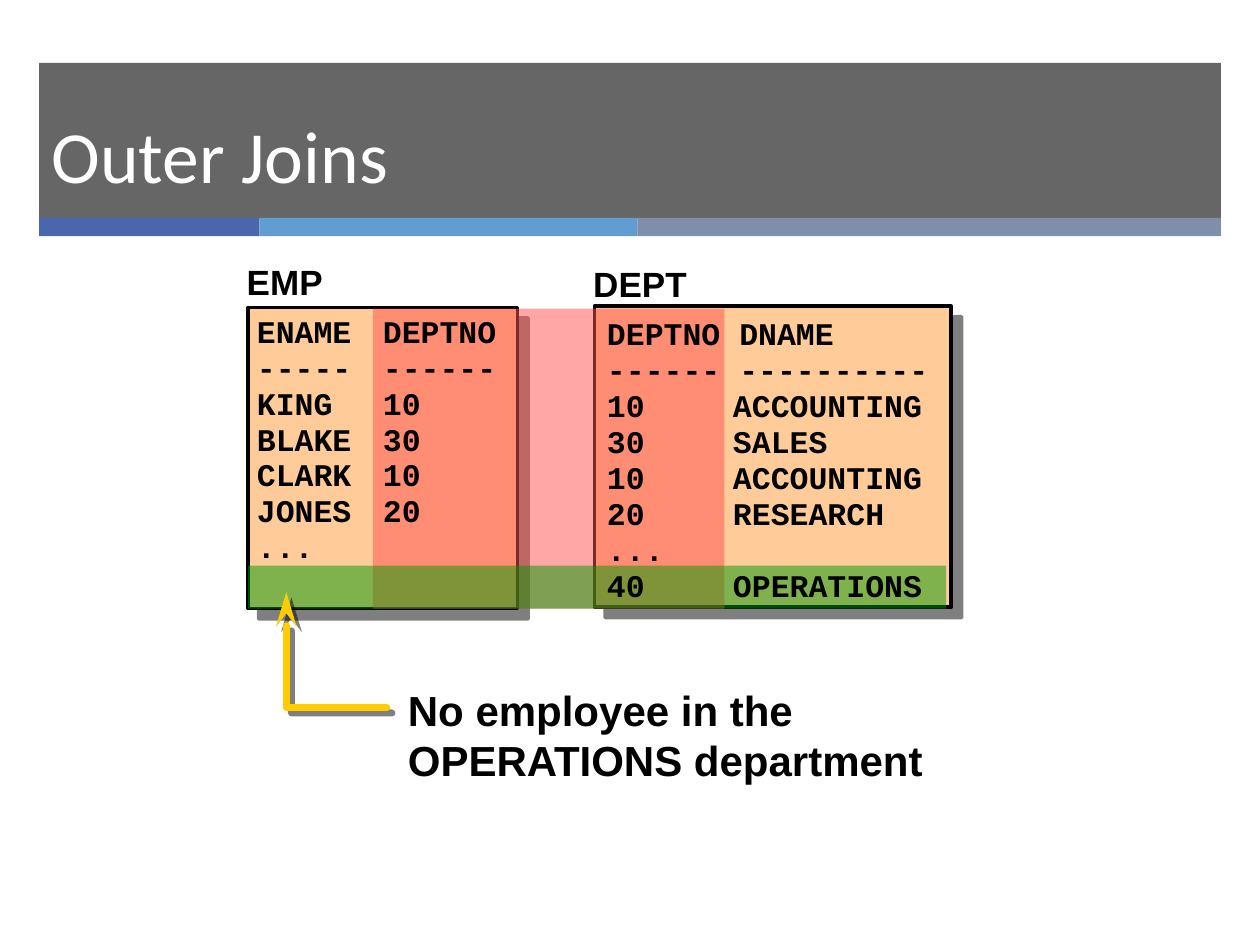
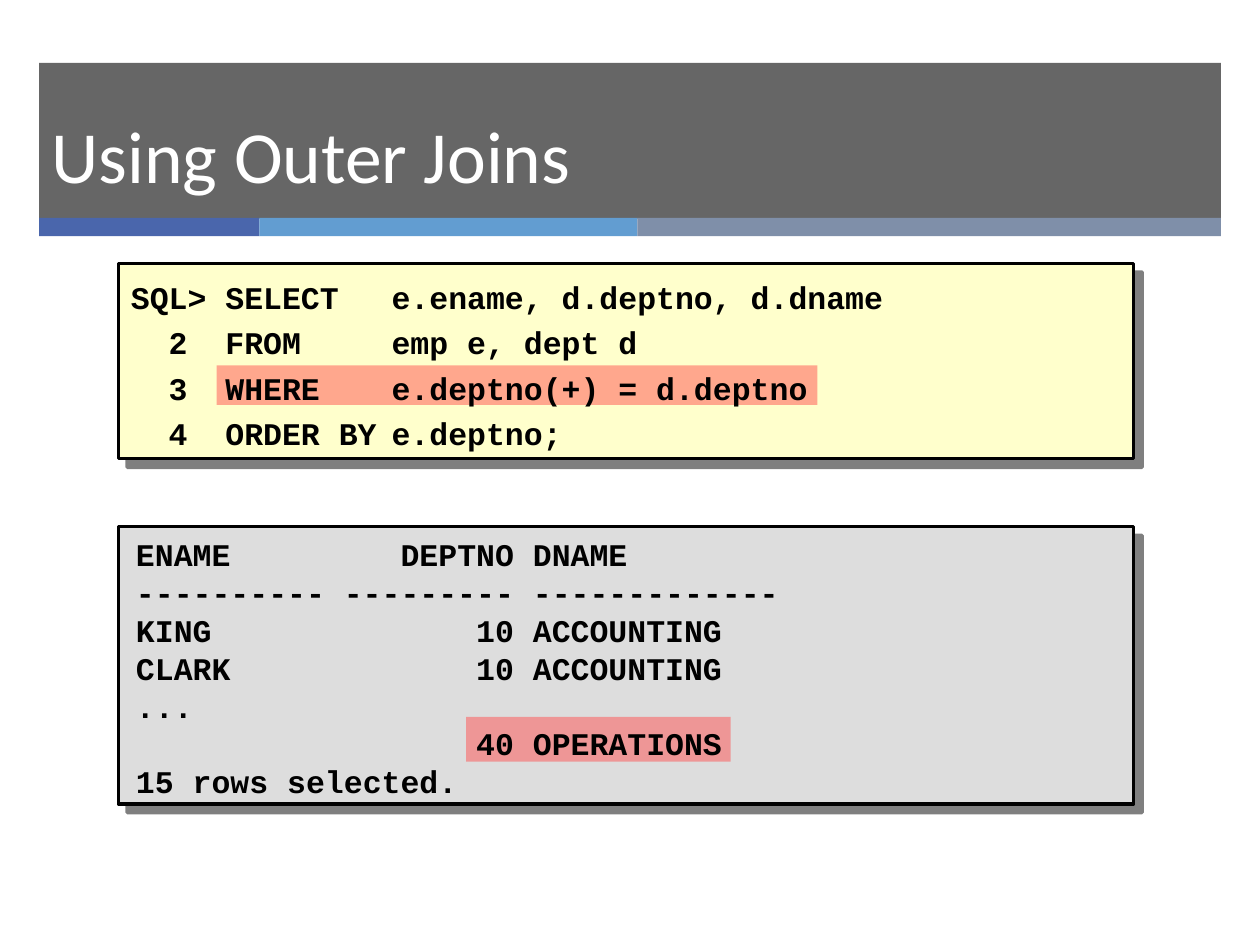
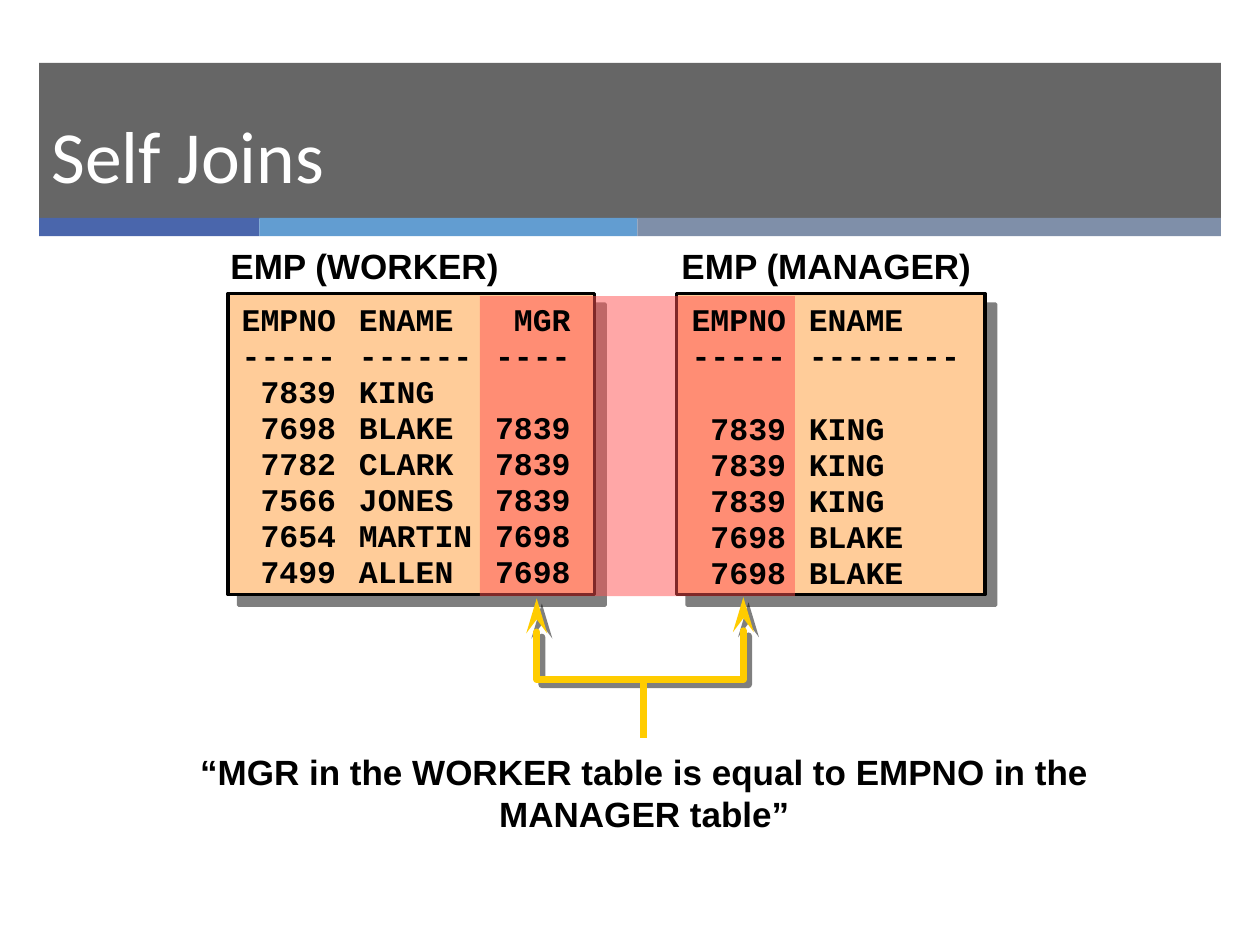
from lxml import etree
from pptx import Presentation
from pptx.dml.color import RGBColor
from pptx.enum import shapes, text
from pptx.oxml import ns
from pptx.util import Pt

BLACK = RGBColor(0x00, 0x00, 0x00)
WHITE = RGBColor(0xFF, 0xFF, 0xFF)
TITLE_BAND = RGBColor(0x26, 0x26, 0x26)
STRIPE_BLUE = RGBColor(0x4A, 0x66, 0xAC)
STRIPE_SKY = RGBColor(0x62, 0x9D, 0xD1)
STRIPE_SLATE = RGBColor(0x7F, 0x8F, 0xA9)
TABLE_FILL = RGBColor(0xFF, 0xCC, 0x99)
QUERY_FILL = RGBColor(0xFF, 0xFF, 0xCC)
RESULT_FILL = RGBColor(0xDD, 0xDD, 0xDD)
JOIN_RED = RGBColor(0xFF, 0x50, 0x50)
ROW_GREEN = RGBColor(0x00, 0x99, 0x00)
ARROW_YELLOW = RGBColor(0xFF, 0xCC, 0x00)

TITLE_FONT, LABEL_FONT, CODE_FONT = "Calibri", "Arial", "Courier New"
CODE_SIZE = 18
CHARACTER = CODE_SIZE * 0.6  # width of one code character
LINE_FACTOR = 1.2
BAND_LEFT, BAND_WIDTH = 22.3, 675.4
EMU_PER_POINT = 12700


def add_xml(parent, tag, **attributes):
    child = etree.SubElement(parent, ns.qn(tag))
    for name, value in attributes.items():
        child.set(name, str(value))
    return child


def add_shadow(shape, distance):
    """Give the shape a hard, half-transparent shadow to the lower right."""
    shape.shadow.inherit = False
    effects = shape.element.spPr.find(ns.qn("a:effectLst"))
    shadow = add_xml(effects, "a:outerShdw", dist=round(distance * EMU_PER_POINT),
                     dir=45 * 60000, algn="ctr", rotWithShape=0)
    color = add_xml(shadow, "a:srgbClr", val=BLACK)
    add_xml(color, "a:alpha", val=50000)


def add_rectangle(slide, left, top, width, height, color, opacity=100):
    shape = slide.shapes.add_shape(shapes.MSO_SHAPE.RECTANGLE,
                                   Pt(left), Pt(top), Pt(width), Pt(height))
    shape.shadow.inherit = False
    shape.fill.solid()
    shape.fill.fore_color.rgb = color
    shape.line.fill.background()
    if opacity < 100:
        fill = shape.element.spPr.find(ns.qn("a:solidFill"))
        add_xml(fill[0], "a:alpha", val=opacity * 1000)
    return shape


def add_panel(slide, left, top, width, height, color, shadow_distance):
    panel = add_rectangle(slide, left, top, width, height, color)
    panel.line.color.rgb = BLACK
    panel.line.width = Pt(2)
    add_shadow(panel, shadow_distance)


def add_highlight(slide, left, top, width, height, color=JOIN_RED):
    add_rectangle(slide, left, top, width, height, color, opacity=50)


def format_runs(paragraph, font_name, size, color=BLACK, bold=True):
    for run in paragraph.runs:
        run.font.name = font_name
        run.font.size = Pt(size)
        run.font.bold = bold
        run.font.color.rgb = color


def add_lines(slide, left, top, width, height, lines, font_name, size, spacing=1.0):
    """Add a text box with one paragraph per line and return its text frame."""
    box = slide.shapes.add_textbox(Pt(left), Pt(top), Pt(width), Pt(height))
    frame = box.text_frame
    frame.word_wrap = True
    frame.text = "\n".join(lines)
    for paragraph in frame.paragraphs:
        paragraph.line_spacing = Pt(round(size * LINE_FACTOR * spacing, 2))
        format_runs(paragraph, font_name, size)
    return frame


def add_code(slide, left, top, width, height, lines, tabs, spacing=0.95):
    """Add code text; tabs holds (position, alignment) pairs."""
    frame = add_lines(slide, left, top, width, height, lines, CODE_FONT, CODE_SIZE, spacing)
    for paragraph in frame.paragraphs:
        properties = paragraph._p.get_or_add_pPr()
        tab_list = add_xml(properties, "a:tabLst")
        for position, alignment in tabs:
            add_xml(tab_list, "a:tab", pos=round(position * EMU_PER_POINT), algn=alignment)
    return frame


def add_heading(slide, left, top, width, heading):
    add_lines(slide, left, top, width, 31, [heading], LABEL_FONT, 20)


def add_arrow(slide, points, both_ends=False):
    """Draw a bent arrow through the points, with its head at the last one."""
    points = [(Pt(x), Pt(y)) for x, y in points]
    builder = slide.shapes.build_freeform(*points[0])
    builder.add_line_segments(points[1:], close=False)
    arrow = builder.convert_to_shape()
    arrow.fill.background()
    arrow.line.color.rgb = ARROW_YELLOW
    arrow.line.width = Pt(4)
    line = arrow.element.spPr.find(ns.qn("a:ln"))
    line.set("cap", "rnd")
    add_xml(line, "a:round")
    for tag in ["a:headEnd", "a:tailEnd"] if both_ends else ["a:tailEnd"]:
        add_xml(line, tag, type="stealth", w="med", len="lg")
    add_shadow(arrow, 4.2)


def add_stem(slide, x, top, bottom):
    stem = slide.shapes.add_connector(shapes.MSO_CONNECTOR.STRAIGHT,
                                      Pt(x), Pt(top), Pt(x), Pt(bottom))
    stem.line.color.rgb = ARROW_YELLOW
    stem.line.width = Pt(4)
    add_xml(stem.element.spPr, "a:effectLst")


def prepare_layout(layout, slide):
    """Build the title band on the slide and move it to the shared layout."""
    for placeholder in list(layout.placeholders):
        if placeholder.placeholder_format.type == shapes.PP_PLACEHOLDER.TITLE:
            placeholder.left, placeholder.top = Pt(BAND_LEFT), Pt(49.7)
            placeholder.width, placeholder.height = Pt(BAND_WIDTH), Pt(76.3)
        else:
            layout.shapes.element.remove(placeholder.element)
    band = [add_rectangle(slide, BAND_LEFT, 36, BAND_WIDTH, 89, TITLE_BAND, opacity=70)]
    left = BAND_LEFT
    for width, color in [(126, STRIPE_BLUE), (216, STRIPE_SKY), (333.4, STRIPE_SLATE)]:
        band.append(add_rectangle(slide, left, 124.5, width, 10.5, color))
        left += width
    for shape in band:
        layout.shapes.element.append(shape.element)


def set_title(slide, title):
    frame = slide.shapes.title.text_frame
    frame.text = title
    frame.vertical_anchor = text.MSO_ANCHOR.MIDDLE
    paragraph = frame.paragraphs[0]
    paragraph.alignment = text.PP_ALIGN.LEFT
    format_runs(paragraph, TITLE_FONT, 42, WHITE, bold=False)


def build_outer_joins(slide):
    add_panel(slide, 141.8, 175.7, 154, 172, TABLE_FILL, 8.5)
    add_panel(slide, 339.8, 175, 203.8, 172, TABLE_FILL, 8.5)
    add_heading(slide, 133.9, 145.4, 64, "EMP")
    add_heading(slide, 331.9, 146.2, 74, "DEPT")
    add_highlight(slide, 213.1, 176.4, 200.9, 171.4)
    add_highlight(slide, 141.8, 323.3, 398.9, 24.5, ROW_GREEN)
    add_lines(slide, 226, 387.4, 367, 65,
              ["No employee in the", "OPERATIONS department"], LABEL_FONT, 24)
    add_arrow(slide, [(221, 404.5), (163.6, 404.5), (163.6, 338.4)])
    tabs = [(72, "l")]
    add_code(slide, 139.7, 175.7, 156, 171.4,
             ["ENAME\tDEPTNO", "-----\t------", "KING\t10", "BLAKE\t30",
              "CLARK\t10", "JONES\t20", "..."], tabs)
    add_code(slide, 339.8, 177.1, 201.6, 171.4,
             ["DEPTNO DNAME", "------ ----------", "10\tACCOUNTING", "30\tSALES",
              "10\tACCOUNTING", "20\tRESEARCH", "...", "40\tOPERATIONS"], tabs)


def build_using_outer_joins(slide):
    add_panel(slide, 67.7, 150.5, 580, 111.6, QUERY_FILL, 7.1)
    add_panel(slide, 67.7, 301, 580, 158.4, RESULT_FILL, 7.1)
    add_highlight(slide, 123.8, 208.8, 343.4, 22.6)
    add_highlight(slide, 266.4, 409.7, 151.2, 25.5)
    query = add_code(slide, 67.7, 149.8, 581.8, 113,
                     ["SQL>\tSELECT\te.ename, d.deptno, d.dname",
                      "\t2\tFROM\temp e, dept d",
                      "\t3\tWHERE\te.deptno(+) = d.deptno",
                      "\t4\tORDER BY\te.deptno;"],
                     [(2 * CHARACTER, "l"), (5 * CHARACTER, "l"), (149, "l")], spacing=1.2)
    query.vertical_anchor = text.MSO_ANCHOR.MIDDLE
    add_code(slide, 70.6, 302.4, 577.4, 158.4,
             ["ENAME\tDEPTNO\tDNAME", "----------\t---------\t-------------",
              "KING\t10\tACCOUNTING", "CLARK\t10\tACCOUNTING", "...",
              "\t40\tOPERATIONS", "15 rows selected."],
             [(20 * CHARACTER, "r"), (21 * CHARACTER, "l")], spacing=1.0)


def build_self_joins(slide):
    add_panel(slide, 130.3, 167.8, 209.5, 172, TABLE_FILL, 8.5)
    add_panel(slide, 386.6, 167.8, 176.4, 172, TABLE_FILL, 8.5)
    add_heading(slide, 124.6, 136, 172, "EMP (WORKER)")
    add_heading(slide, 382.3, 136, 184, "EMP (MANAGER)")
    add_highlight(slide, 274.3, 169.2, 180, 171.4)
    caption = add_lines(slide, 105, 425.5, 526.3, 55.4,
                        ["“MGR in the WORKER table is equal to EMPNO in the MANAGER table”"],
                        LABEL_FONT, 20)
    caption.paragraphs[0].alignment = text.PP_ALIGN.CENTER
    add_arrow(slide, [(306.7, 342), (306.7, 388.3), (424.8, 388.3), (424.8, 341.3)],
              both_ends=True)
    add_stem(slide, 368, 387.4, 422)
    tabs = [(CHARACTER, "l"), (67, "l")]
    add_code(slide, 131, 169.2, 207.4, 171.4,
             ["EMPNO\tENAME\tMGR", "-----\t------\t----", "\t7839\tKING",
              "\t7698\tBLAKE\t7839", "\t7782\tCLARK\t7839", "\t7566\tJONES\t7839",
              "\t7654\tMARTIN\t7698", "\t7499\tALLEN\t7698"], tabs + [(188, "r")])
    manager = add_code(slide, 388.1, 169.2, 174.2, 172.8,
                       ["EMPNO\tENAME", "-----\t--------", "\t7839\tKING", "\t7839\tKING",
                        "\t7839\tKING", "\t7698\tBLAKE", "\t7698\tBLAKE"], tabs)
    manager.paragraphs[1].space_after = Pt(21)


def main():
    presentation = Presentation()
    presentation.slide_width, presentation.slide_height = Pt(720), Pt(540)
    layout = presentation.slide_layouts.get_by_name("Title Only")
    pages = [("Outer Joins", build_outer_joins),
             ("Using Outer Joins", build_using_outer_joins),
             ("Self Joins", build_self_joins)]
    for number, (title, build) in enumerate(pages):
        slide = presentation.slides.add_slide(layout)
        if number == 0:
            prepare_layout(layout, slide)
        set_title(slide, title)
        build(slide)
    presentation.save("out.pptx")


if __name__ == "__main__":
    main()
